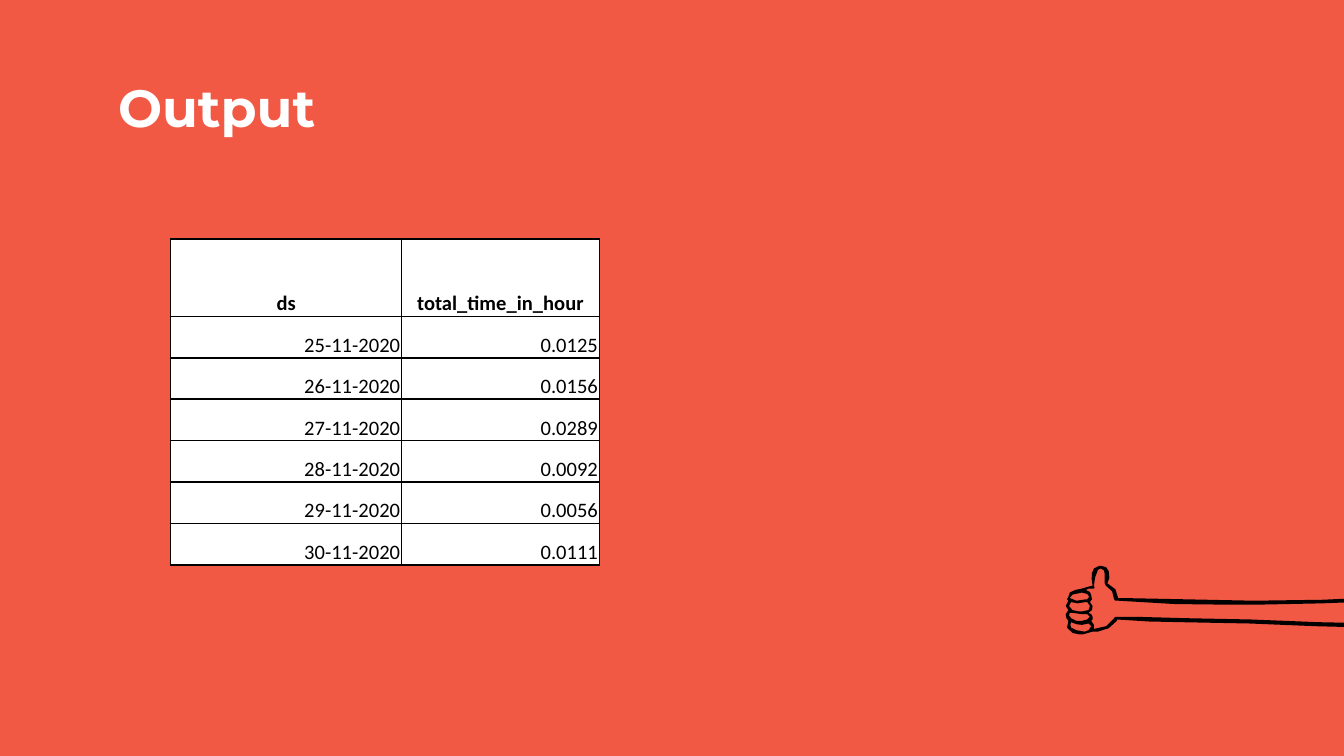
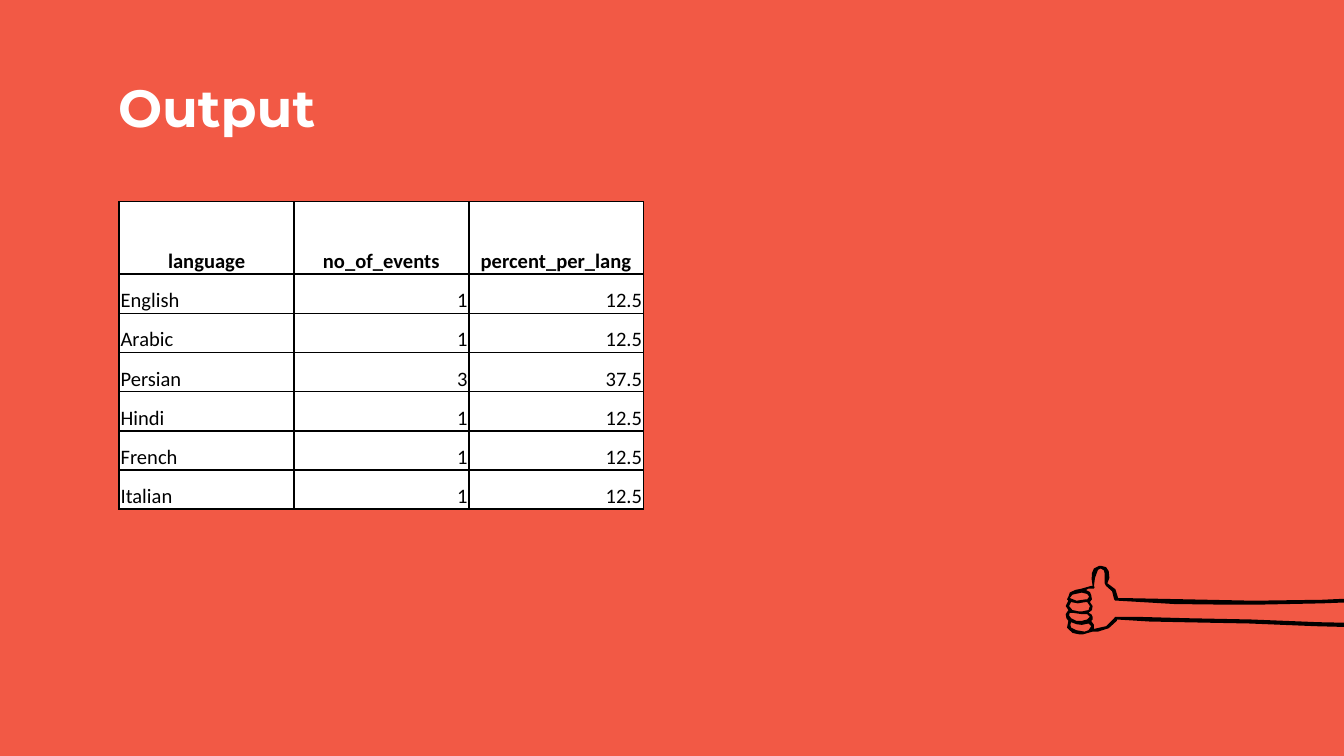
"""Build two output slides, each with a title, a result table and a thumbs-up arm."""
from dataclasses import dataclass

import lxml.etree
import pptx
import pptx.dml.color
import pptx.enum.text
import pptx.oxml.ns
import pptx.util

Pt = pptx.util.Pt
Align = pptx.enum.text.PP_ALIGN
Anchor = pptx.enum.text.MSO_ANCHOR

HUNDREDTH_INCH = 0.72

FINGERS = [
    [(805, 441), (809, 442), (810.5, 444), (809, 446), (808, 446), (801, 447),
     (796, 445), (798, 442.5)],
    [(809, 448), (811, 451), (810, 454), (805, 455), (803, 455), (798, 454),
     (795.5, 451), (797, 448), (802, 449), (808, 448)],
    [(796, 456), (798, 456), (805, 457), (809, 457), (811, 459), (809, 461),
     (805, 462), (801, 462), (797, 460), (795.5, 458)],
    [(797, 463), (801, 464.5), (805, 465), (810, 464), (812, 466), (810, 469),
     (807, 470), (801, 469), (797, 467), (796.5, 465)],
]
ARM = [
    (819, 421), (818, 421), (814, 423), (812.5, 426.5), (812.3, 431), (813, 436),
    (812, 436), (805, 438), (800, 439), (796, 441), (795, 444), (794, 446),
    (795, 447), (793, 451), (795, 454), (793, 457), (793.5, 460), (795, 462),
    (794, 467), (798, 471), (803, 472), (806, 472), (813, 470), (817, 470),
    (825, 467.5), (831, 462), (831, 461), (855, 462.5), (879, 463), (930, 464),
    (979, 466), (1019, 467), (1030, 467), (1031, 465.5), (1030, 464), (981, 463),
    (931, 461), (882, 460), (845, 459), (831, 459), (830, 459), (829, 460),
    (823, 466), (814, 468), (814, 465), (812, 462), (813, 461), (813, 459),
    (812, 457), (810, 456), (812.5, 454), (813, 451), (811, 448), (812.5, 446),
    (812, 443), (811, 440.5), (808, 439), (810, 438), (814, 438), (814.5, 437),
    (814, 436), (814.8, 430), (817, 424), (819, 423), (821.5, 424.5), (822, 427),
    (822, 434), (823, 436), (827.5, 440), (829, 446), (830, 447), (832, 447),
    (874, 449.5), (917, 450), (933, 450), (984, 449), (1034, 447), (1035.5, 445.5),
    (1034, 444), (984, 446.3), (933, 447), (883, 446), (834, 445), (832, 445),
    (830, 438.5), (824, 434), (825.5, 430), (825, 425), (823, 422),
]

TIME_ROWS = [
    ("ds", "total_time_in_hour"),
    ("25-11-2020", "0.0125"),
    ("26-11-2020", "0.0156"),
    ("27-11-2020", "0.0289"),
    ("28-11-2020", "0.0092"),
    ("29-11-2020", "0.0056"),
    ("30-11-2020", "0.0111"),
]
LANGUAGE_ROWS = [
    ("language", "no_of_events", "percent_per_lang"),
    ("English", "1", "12.5"),
    ("Arabic", "1", "12.5"),
    ("Persian", "3", "37.5"),
    ("Hindi", "1", "12.5"),
    ("French", "1", "12.5"),
    ("Italian", "1", "12.5"),
]


@dataclass(frozen=True)
class Theme:
    background: str = "F25945"
    ink: str = "000000"
    paper: str = "FFFFFF"
    title_font: str = "Montserrat"
    title_size: float = 28
    table_font: str = "Calibri"
    table_size: float = 11
    border: float = 1


class OutputDeck:
    def __init__(self, theme):
        self.theme = theme
        self.deck = pptx.Presentation()
        self.deck.slide_width, self.deck.slide_height = Pt(720), Pt(405)
        self.page = None

    def color(self, value):
        return pptx.dml.color.RGBColor.from_string(value)

    def fill(self, target, value):
        target.fill.solid()
        target.fill.fore_color.rgb = self.color(value)

    def style(self, para, name, size, value, bold):
        for span in para.runs:
            span.font.name = name
            span.font.size = Pt(size)
            span.font.bold = bold
            span.font.color.rgb = self.color(value)

    def add_page(self, title):
        self.page = self.deck.slides.add_slide(self.deck.slide_layouts[6])
        self.fill(self.page.background, self.theme.background)
        self.add_title(title)
        self.add_arm()

    def add_title(self, text):
        box = self.page.shapes.add_textbox(Pt(56.2), Pt(33.1), Pt(607.7), Pt(45.4))
        frame = box.text_frame
        frame.word_wrap = True
        frame.margin_left = frame.margin_right = Pt(7.2)
        frame.margin_top = frame.margin_bottom = Pt(7.2)
        frame.text = text
        self.style(frame.paragraphs[0], self.theme.title_font,
                   self.theme.title_size, self.theme.paper, True)

    def add_arm(self):
        contours = [[(Pt(x * HUNDREDTH_INCH), Pt(y * HUNDREDTH_INCH)) for x, y in contour]
                    for contour in [*FINGERS, ARM]]
        builder = self.page.shapes.build_freeform(*contours[0][0])
        builder.add_line_segments(contours[0][1:])
        for contour in contours[1:]:
            builder.move_to(*contour[0])
            builder.add_line_segments(contour[1:])
        arm = builder.convert_to_shape()
        arm.shadow.inherit = False
        self.fill(arm, self.theme.ink)
        arm.line.fill.background()

    def add_table(self, left, top, widths, header_height, row_height, aligns, rows):
        heights = [header_height] + [row_height] * (len(rows) - 1)
        table = self.page.shapes.add_table(
            len(rows), len(widths), Pt(left), Pt(top),
            Pt(sum(widths)), Pt(sum(heights))).table
        table.first_row = table.horz_banding = False
        for column, width in zip(table.columns, widths):
            column.width = Pt(width)
        for row_index, (values, height) in enumerate(zip(rows, heights)):
            table.rows[row_index].height = Pt(height)
            header = row_index == 0
            for column_index, value in enumerate(values):
                align = Align.CENTER if header else aligns[column_index]
                self.set_cell(table.cell(row_index, column_index), value, align, header)

    def set_cell(self, cell, text, align, bold):
        cell.margin_left = cell.margin_right = cell.margin_top = Pt(0.72)
        cell.margin_bottom = Pt(0)
        cell.vertical_anchor = Anchor.BOTTOM
        cell.text_frame.text = text
        para = cell.text_frame.paragraphs[0]
        para.alignment = align
        self.style(para, self.theme.table_font, self.theme.table_size, self.theme.ink, bold)
        self.fill(cell, self.theme.paper)
        self.set_borders(cell)

    def set_borders(self, cell):
        qn = pptx.oxml.ns.qn
        properties = cell._tc.get_or_add_tcPr()
        for index, side in enumerate(("a:lnL", "a:lnR", "a:lnT", "a:lnB")):
            line = lxml.etree.Element(qn(side), w=str(Pt(self.theme.border)))
            solid = lxml.etree.SubElement(line, qn("a:solidFill"))
            lxml.etree.SubElement(solid, qn("a:srgbClr"), val=self.theme.ink)
            properties.insert(index, line)


def main():
    output = OutputDeck(Theme())
    output.add_page("Output")
    output.add_table(91.4, 128.1, [123.8, 105.9], 41.4, 22.2,
                     [Align.RIGHT] * 2, TIME_ROWS)
    output.add_page("Output")
    output.add_table(63.9, 108, [93.6] * 3, 38.9, 21,
                     [Align.LEFT, Align.RIGHT, Align.RIGHT], LANGUAGE_ROWS)
    output.deck.save("out.pptx")


if __name__ == "__main__":
    main()
